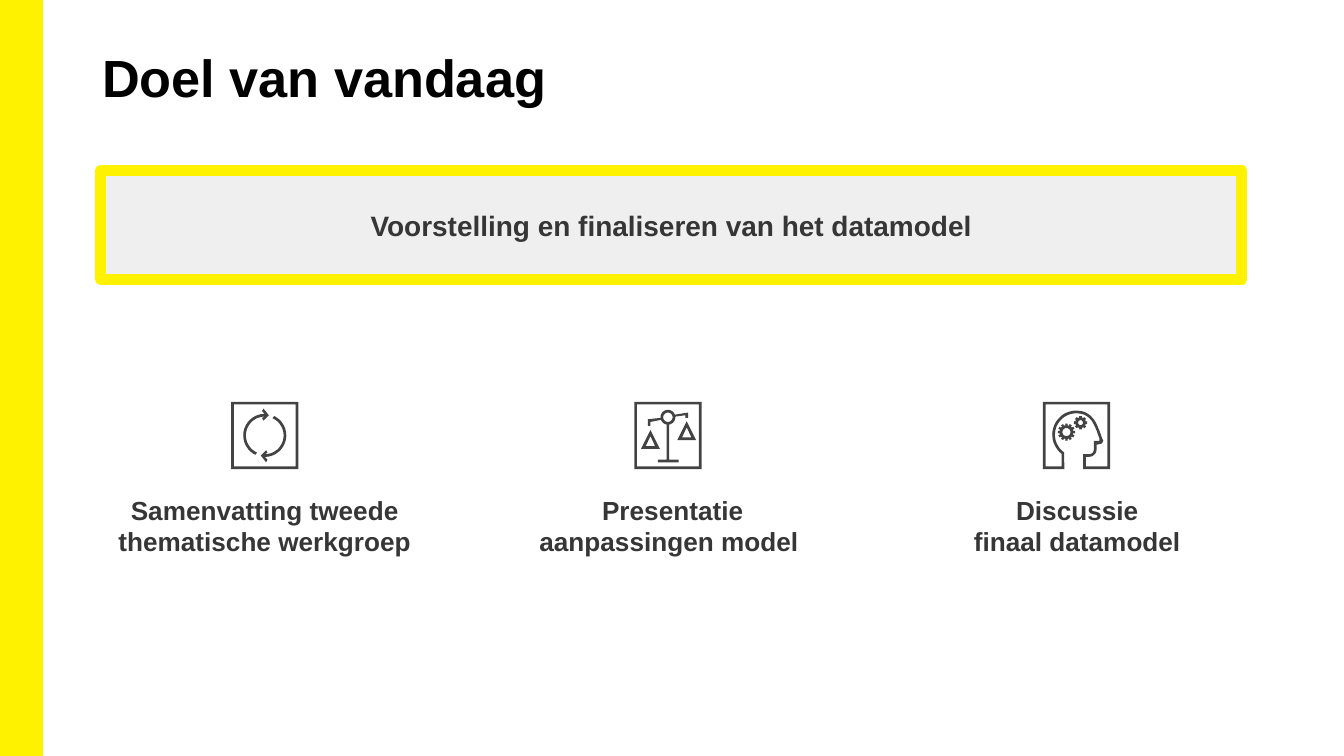
"""Build the slide with today's goal, a banner and three steps with icons."""
import dataclasses
import math
import typing

import pptx
import pptx.dml.color
import pptx.enum.shapes
import pptx.enum.text
import pptx.util

Inch = pptx.util.Inches
Point = typing.Tuple[float, float]
Ring = typing.List[Point]
Icon = typing.List[typing.List[Ring]]
Box = typing.Tuple[float, float, float, float]

HUES = {"bar": "FFF200", "panel": "EFEFEF", "text": "373636", "icon": "434343", "title": "000000"}
WIDE = 10
HIGH = WIDE * 9 / 16
ICON_TOP, STEP_TOP, STEP_HIGH = 2.99, 3.63, 1.28
UNIT = 0.01
HARD = chr(160)
ALIGN = pptx.enum.text.PP_ALIGN
ANCHOR = pptx.enum.text.MSO_ANCHOR
RECT = pptx.enum.shapes.MSO_SHAPE.RECTANGLE


@dataclasses.dataclass
class Step:
    """A caption with its left edge and width, and the icon above it."""
    text: str
    left: float
    width: float
    spot: float
    icon: Icon


def tint(name: str) -> pptx.dml.color.RGBColor:
    """Return a named colour."""
    return pptx.dml.color.RGBColor.from_string(HUES[name])


def arc(mid: Point, size: float, start: float, end: float) -> Ring:
    """Return points on a circle between two angles in degrees."""
    count = max(4, round(abs(end - start) / 6))
    turns = [math.radians(start + (end - start) * i / count) for i in range(count + 1)]
    return [(mid[0] + size * math.cos(t), mid[1] + size * math.sin(t)) for t in turns]


def bend(a: Point, b: Point, c: Point, d: Point) -> Ring:
    """Return points on a cubic curve."""
    steps = [i / 10 for i in range(11)]
    return [tuple((1 - t) ** 3 * p + 3 * t * (1 - t) ** 2 * q + 3 * t * t * (1 - t) * r + t ** 3 * s
                  for p, q, r, s in zip(a, b, c, d)) for t in steps]


def block(low: float, high: float) -> Ring:
    """Return a square."""
    return [(low, low), (low, high), (high, high), (high, low)]


def gear(mid: Point, size: float, hole: float, teeth: int) -> typing.List[Ring]:
    """Return a toothed wheel with a round hole."""
    part = 360 / teeth
    edge = [arc(mid, rad, i * part + turn, i * part + turn)[0] for i in range(teeth)
            for rad, turn in ((size * 0.8, -part * 0.29), (size, -part * 0.27),
                              (size, part * 0.27), (size * 0.8, part * 0.29))]
    return [edge, arc(mid, hole, 0, 360)]


def cycle() -> Icon:
    """Return two arrows that chase each other in a frame."""
    mid = (25, 25)
    half = (arc(mid, 14, 180, 270) + [(23, 12), (24, 14), (28, 10), (24, 5), (23, 7), (24, 8)]
            + arc(mid, 16, 270, 116) + arc(mid, 14, 114, 180))
    return [[block(0, 50), block(2, 48)], [half], [[(50 - x, 50 - y) for x, y in half]]]


def scale() -> Icon:
    """Return a pair of scales in a frame."""
    pans = [[(12, 21), (5, 35), (19, 35)], [(12, 25.5), (15.5, 33), (8.5, 33)]]
    pans += [[(x + 27, y - 6.5) for x, y in pan] for pan in pans]
    hub = (25, 11.5)
    beam = ([(12, 15)] + arc(hub, 5.5, 160, 100)
            + [(24, 43), (17.5, 43), (17.5, 45), (33, 45), (33, 43), (26, 43)]
            + arc(hub, 5.5, 80, -5) + [(38, 10), (38, 12), (40, 12), (40, 8)]
            + arc(hub, 5.5, -20, -185) + [(10, 13), (10, 18), (12, 18)])
    return [[block(0, 50), block(2, 48), beam, arc(hub, 3.5, 0, 360)] + pans]


def head() -> Icon:
    """Return a head with two wheels, open at the neck."""
    mid = (25, 24.5)
    outer = ([(0, 0), (0, 50), (16, 50)] + arc(mid, 16, 125, 270)
             + bend((29, 9), (37, 11), (39, 19), (42, 27)) + [(42, 29), (38, 29)]
             + bend((38, 35), (38, 38), (36, 39), (34, 39)) + [(30, 39), (30, 50), (50, 50), (50, 0)])
    inner = ([(2, 2), (2, 48), (14, 48)] + arc(mid, 18, 128, 270)
             + bend((29, 7), (38, 9), (41, 18), (44, 27)) + [(45, 29), (44, 31), (40, 32)]
             + bend((40, 35), (40, 39), (37, 41), (34, 41)) + [(32, 41), (32, 48), (48, 48), (48, 2)])
    return [[outer, inner], gear((17.5, 22.5), 6.5, 3, 12), gear((28, 15.5), 5, 1.8, 8)]


def draw(shapes: typing.Any, icon: Icon, left: float) -> None:
    """Draw each part of an icon as a filled outline."""
    for rings in icon:
        grid = [[(x * 10, y * 10) for x, y in ring] for ring in rings]
        pen = shapes.build_freeform(*grid[0][0], scale=Inch(UNIT) / 10)
        pen.add_line_segments(grid[0][1:], close=True)
        for ring in grid[1:]:
            pen.move_to(*ring[0])
            pen.add_line_segments(ring[1:], close=True)
        part = pen.convert_to_shape(Inch(left), Inch(ICON_TOP))
        part.shadow.inherit = False
        part.fill.solid()
        part.fill.fore_color.rgb = tint("icon")
        part.line.fill.background()


def panel(shapes: typing.Any, box: Box, fill: str, width: float) -> typing.Any:
    """Add a filled rectangle with a yellow line."""
    shape = shapes.add_shape(RECT, *map(Inch, box))
    shape.shadow.inherit = False
    shape.fill.solid()
    shape.fill.fore_color.rgb = tint(fill)
    shape.line.color.rgb = tint("bar")
    shape.line.width = pptx.util.Pt(width)
    return shape


def write(shape: typing.Any, text: str, size: float, hue: str, align: typing.Any,
          frame: typing.Dict[str, typing.Any]) -> None:
    """Put bold text in a shape."""
    body = shape.text_frame
    for key, value in {"word_wrap": True, "auto_size": pptx.enum.text.MSO_AUTO_SIZE.NONE, **frame}.items():
        setattr(body, key, value)
    body.text = text
    line = body.paragraphs[0]
    line.alignment = align
    font = line.runs[0].font
    for key, value in {"name": "Arial", "size": pptx.util.Pt(size), "bold": True}.items():
        setattr(font, key, value)
    font.color.rgb = tint(hue)


def main() -> None:
    """Build and save the slide."""
    deck = pptx.Presentation()
    deck.slide_width, deck.slide_height = Inch(WIDE), Inch(HIGH)
    slide = deck.slides.add_slide(deck.slide_layouts[5])
    shapes = slide.shapes
    panel(shapes, (0, 0, 0.31, HIGH), "bar", 1)
    title = shapes.title
    for key, value in zip(("left", "top", "width", "height"), (0.69, 0.3, 8.62, 0.81)):
        setattr(title, key, Inch(value))
    write(title, "Doel van vandaag", 28, "title", ALIGN.LEFT,
          {"vertical_anchor": ANCHOR.TOP, "margin_left": Inch(0.07),
           "margin_right": Inch(0.07), "margin_top": Inch(0.04), "margin_bottom": Inch(0.04)})
    banner = panel(shapes, (0.75, 1.27, 8.49, 0.81), "panel", 6)
    write(banner, f"Voorstelling{HARD}en finaliseren van het datamodel", 15, "text", ALIGN.CENTER,
          {"vertical_anchor": ANCHOR.MIDDLE})
    steps = [Step("Samenvatting tweede thematische werkgroep", 0.61, 2.72, 1.72, cycle()),
             Step("Presentatie aanpassingen model ", 3.76, 2.49, 4.72, scale()),
             Step(f"Discussie finaal{HARD}datamodel", 6.94, 2.15, 7.76, head())]
    for step in steps:
        label = shapes.add_textbox(*map(Inch, (step.left, STEP_TOP, step.width, STEP_HIGH)))
        write(label, step.text, 14, "text", ALIGN.CENTER, {"vertical_anchor": ANCHOR.TOP})
        draw(shapes, step.icon, step.spot)
    deck.save("out.pptx")


if __name__ == "__main__":
    main()
